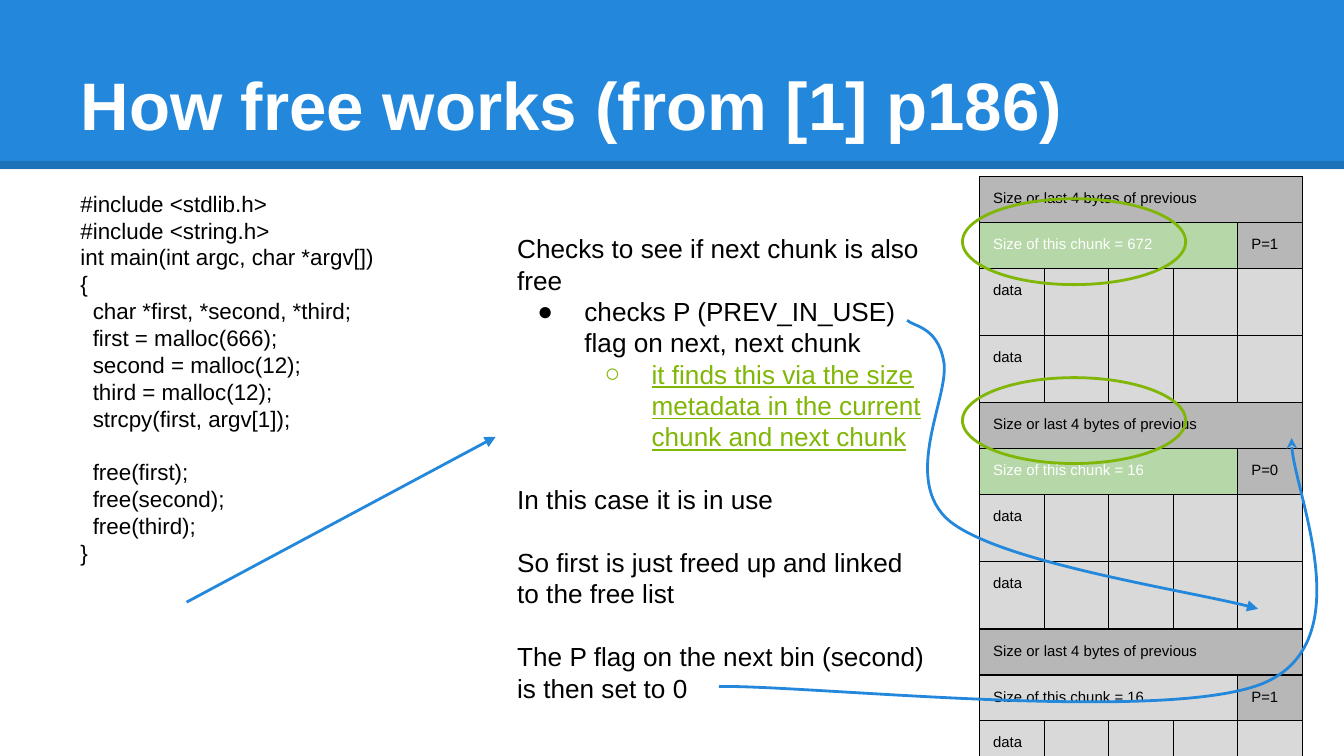
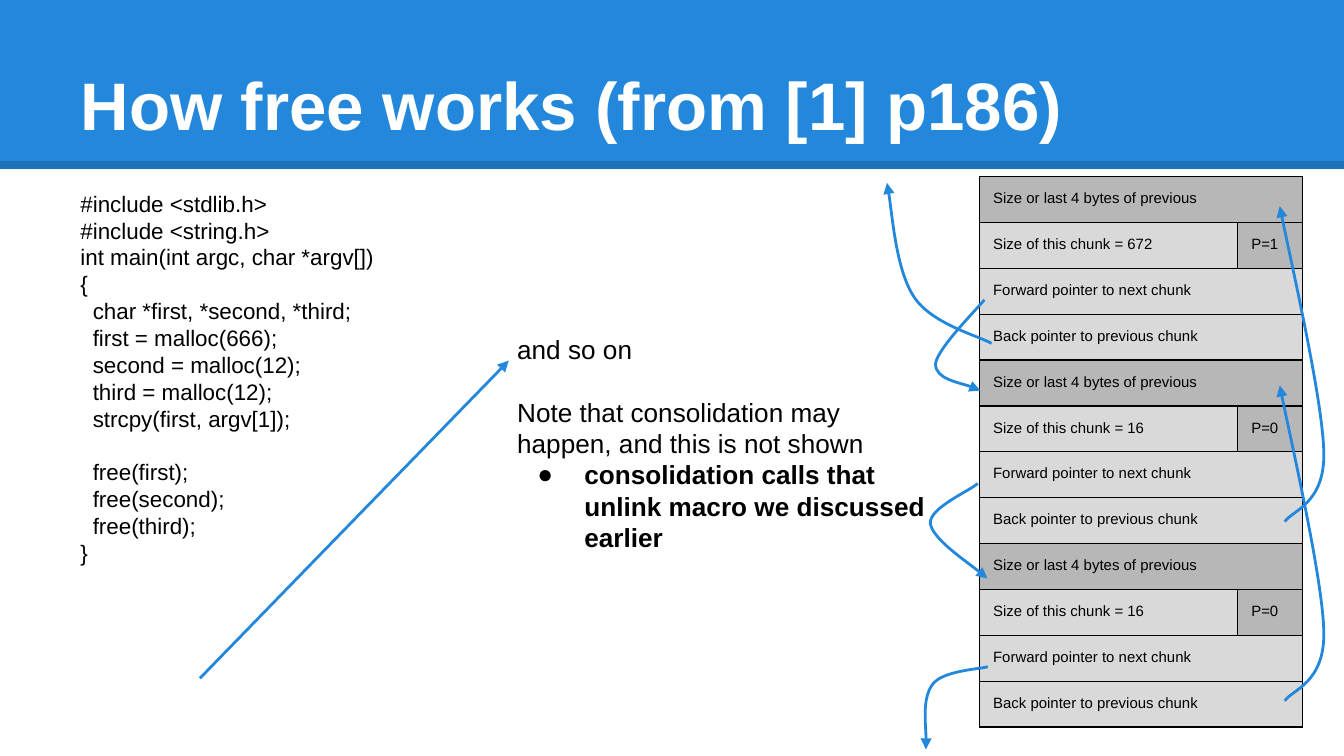
from lxml.etree import SubElement as Sub
from pptx import Presentation
from pptx.dml.color import RGBColor as RGB
from pptx.enum.shapes import MSO_CONNECTOR as LINK, MSO_SHAPE as FORM
from pptx.enum.text import MSO_ANCHOR as ANCHOR, PP_ALIGN as ALIGN
from pptx.oxml.ns import qn
from pptx.util import Pt

BLUE = RGB(0x23, 0x88, 0xDB)
GREEN = RGB(0x80, 0xB6, 0x06)
BLACK = RGB(0, 0, 0)
WHITE = RGB(0xFF, 0xFF, 0xFF)
DARK = RGB(0xB7, 0xB7, 0xB7)
PALE = RGB(0xD9, 0xD9, 0xD9)
MINT = RGB(0xB6, 0xD7, 0xA8)
FONT = "Arial"
PAD = Pt(7.2)
WIDE = 720
COLS = 5

TITLE = "How free works (from [1] p186)"
CODE = """#include <stdlib.h>
#include <string.h>
int main(int argc, char *argv[])
{
  char *first, *second, *third;
  first = malloc(666);
  second = malloc(12);
  third = malloc(12);
  strcpy(first, argv[1]);

  free(first);
  free(second);
  free(third);
}"""
LAST = "Size or last 4 bytes of previous"


def paint(fill, color):
    fill.solid()
    fill.fore_color.rgb = color


class Deck:
    def __init__(self):
        self.prs = Presentation()
        self.prs.slide_width = Pt(WIDE)
        self.prs.slide_height = Pt(405)
        self.slide = None

    def page(self, title):
        self.slide = self.prs.slides.add_slide(self.prs.slide_layouts[5])
        self.shapes = self.slide.shapes
        band = self.oval(0, 0, WIDE, 90.5, FORM.RECTANGLE)
        paint(band.fill, BLUE)
        band.line.fill.background()
        rule = self.line(0, 88.5, WIDE, 88.5, BLACK, 4.5)
        tint = rule.line._ln.find(".//" + qn("a:srgbClr"))
        Sub(tint, qn("a:alpha"), val="15000")
        head = self.shapes.title
        head._element.getparent().append(head._element)
        head.left, head.top = Pt(36), Pt(16.8)
        head.width, head.height = Pt(648), Pt(67.5)
        head.text_frame.text = title
        self.frame(head.text_frame, ANCHOR.BOTTOM)
        para = head.text_frame.paragraphs[0]
        para.alignment = ALIGN.LEFT
        self.ink(para, 36, WHITE, bold=True)

    def frame(self, box, anchor=ANCHOR.TOP):
        box.word_wrap = True
        box.vertical_anchor = anchor
        box.margin_left = box.margin_right = PAD
        box.margin_top = box.margin_bottom = PAD

    def ink(self, para, size, color=BLACK, bold=False, under=False):
        for run in para.runs:
            font = run.font
            font.name, font.size, font.bold = FONT, Pt(size), bold
            font.underline = under
            font.color.rgb = color

    def text(self, x, y, w, h, size, items):
        box = self.shapes.add_textbox(Pt(x), Pt(y), Pt(w), Pt(h)).text_frame
        self.frame(box)
        para, gap = None, False
        for text, level, style in items:
            if not text:
                gap = True
                continue
            para = box.add_paragraph() if para else box.paragraphs[0]
            para.text = text
            if gap:
                para.space_before = Pt(size * 1.2)
                gap = False
            if level:
                self.dot(para, level, style.get("color", BLACK))
            self.ink(para, size, **style)

    def dot(self, para, level, color):
        para.level = level - 1
        props = para._p.get_or_add_pPr()
        props.set("marL", str(Pt(36 * level)))
        props.set("indent", str(Pt(-25.2)))
        Sub(Sub(props, qn("a:buClr")), qn("a:srgbClr"), val=str(color))
        Sub(props, qn("a:buFont"), typeface=FONT)
        Sub(props, qn("a:buChar"), char="●○"[level - 1])

    def tip(self, shape, kind):
        Sub(shape.line._ln, qn("a:tailEnd"), type=kind, w="med", len="med")

    def line(self, x, y, far, low, color=BLUE, width=1.5):
        link = self.shapes.add_connector(
            LINK.STRAIGHT, Pt(x), Pt(y), Pt(far), Pt(low))
        link.line.color.rgb = color
        link.line.width = Pt(width)
        Sub(link._element.spPr, qn("a:effectLst"))
        return link

    def arrow(self, *ends):
        self.tip(self.line(*ends), "triangle")

    def curve(self, dots, tip="triangle"):
        spots = [(Pt(x), Pt(y)) for x, y in dots]
        pen = self.shapes.build_freeform(*spots[0])
        pen.add_line_segments(spots[1:], close=False)
        shape = pen.convert_to_shape()
        shape.shadow.inherit = False
        shape.fill.background()
        shape.line.color.rgb = BLUE
        shape.line.width = Pt(1.5)
        self.tip(shape, tip)
        track = shape._element.find(".//" + qn("a:path"))
        steps = track.findall(qn("a:lnTo"))
        for i in range(0, len(steps), 3):
            bend = Sub(track, qn("a:cubicBezTo"))
            for step in steps[i:i + 3]:
                bend.append(step[0])
                track.remove(step)

    def oval(self, x, y, w, h, form=FORM.OVAL):
        shape = self.shapes.add_shape(form, Pt(x), Pt(y), Pt(w), Pt(h))
        shape.shadow.inherit = False
        shape.fill.background()
        shape.line.color.rgb = GREEN
        shape.line.width = Pt(1.5)
        return shape

    def cell(self, cell, fill):
        cell.margin_left = cell.margin_right = PAD
        cell.margin_top = cell.margin_bottom = PAD
        props = cell._tc.get_or_add_tcPr()
        for side in ("lnL", "lnR", "lnT", "lnB"):
            edge = Sub(props, qn("a:" + side), w=str(Pt(0.75)))
            Sub(Sub(edge, qn("a:solidFill")), qn("a:srgbClr"), val=str(BLACK))
        paint(cell.fill, fill)
        para = cell.text_frame.paragraphs[0]
        self.ink(para, 8, WHITE if fill == MINT else BLACK)
        if not para.runs:
            end = Sub(para._p, qn("a:endParaRPr"), sz="1800")
            Sub(end, qn("a:latin"), typeface=FONT)

    def table(self, x, y, rows):
        side, high = 34.6, 24.6
        grid = self.shapes.add_table(
            len(rows), COLS, Pt(x), Pt(y),
            Pt(side * COLS), Pt(high * len(rows))).table
        grid.first_row = grid.horz_banding = False
        for col in grid.columns:
            col.width = Pt(side)
        for r, parts in enumerate(rows):
            grid.rows[r].height = Pt(high)
            c = 0
            for text, span, fill in parts:
                head = grid.cell(r, c)
                if span > 1:
                    head.merge(grid.cell(r, c + span - 1))
                head.text = text
                for i in range(c, c + span):
                    self.cell(grid.cell(r, i), fill)
                c += span


def plain(text):
    return text, 0, {}


def chunk(size, flag, body, fill=PALE):
    return [[(LAST, COLS, DARK)],
            [(f"Size of this chunk = {size}", COLS - 1, fill),
             (f"P={flag}", 1, DARK)]] + body


def base(deck, top, notes, rows):
    deck.page(TITLE)
    deck.text(36, 94.5, 482, 293, 12, map(plain, CODE.split("\n")))
    deck.text(270, top, 235.5, 123, 14, notes)
    deck.table(524.8, 94.6, rows)


def used(deck):
    notes = [
        plain("Checks to see if next chunk is also free"),
        ("checks P (PREV_IN_USE) flag on next, next chunk", 1, {}),
        ("it finds this via the size metadata in the current chunk "
         "and next chunk", 2, {"color": GREEN, "under": True}),
        plain(""),
        plain("In this case it is in use"),
        plain(""),
        plain("So first is just freed up and linked to the free list"),
        plain(""),
        plain("The P flag on the next bin (second) is then set to 0")]
    data = [[("data", 1, PALE)] + [("", 1, PALE)] * (COLS - 1)] * 2
    base(deck, 117.4, notes, chunk(672, 1, data, MINT)
         + chunk(16, 0, data, MINT) + chunk(16, 1, data))
    deck.arrow(100, 322.6, 265.6, 234)
    deck.curve([(385.2, 367.8), (434, 367), (626, 388), (677.5, 365.8),
                (728.6, 343.4), (690, 256), (692, 234.7)], "stealth")
    for y in (202.3, 106.5):
        deck.oval(515.6, y, 119.6, 46)
    deck.curve([(486, 171.6), (489.6, 175), (502, 175), (505.5, 193),
                (509.8, 211), (481.7, 257), (509, 279.4),
                (537, 301.7), (646.6, 318), (674, 326.2)])


def linked(deck):
    notes = [
        plain("and so on"),
        plain(""),
        plain("Note that consolidation may happen, and this is not shown"),
        ("consolidation calls that unlink macro we discussed earlier",
         1, {"bold": True})]
    body = [[("Forward pointer to next chunk", COLS, PALE)],
            [("Back pointer to previous chunk", COLS, PALE)]]
    base(deck, 171.3, notes, chunk(672, 1, body)
         + chunk(16, 0, body) + chunk(16, 0, body))
    deck.arrow(107.1, 363.4, 272.6, 193.2)
    deck.curve([(531.2, 184), (524.2, 180), (499, 173.5), (489.6, 159),
                (480.2, 144.7), (477.4, 108), (475.2, 98)])
    deck.curve([(527.4, 160.6), (522.7, 166.3), (501.8, 187.2),
                (501.2, 195), (501.2, 203), (521.3, 206.6), (525.3, 209.2)])
    deck.curve([(523.8, 259), (519.8, 262.8), (497.5, 272.2),
                (498.4, 280.5), (499.7, 288.7), (524.2, 305.3), (529, 310)])
    for y in (0, 96):
        deck.curve([(688.3, 279.5 + y), (692, 273.6 + y), (710, 270 + y),
                    (709.2, 242 + y), (708.5, 213.8 + y),
                    (689.8, 132.5 + y), (685.6, 110.5 + y)])
    deck.curve([(529.2, 357.2), (524.2, 358.6), (504.7, 359.3),
                (499.5, 366.8), (493.9, 374.4), (496.8, 396), (496, 401.5)])


def main():
    deck = Deck()
    used(deck)
    linked(deck)
    deck.prs.save("out.pptx")


if __name__ == "__main__":
    main()
